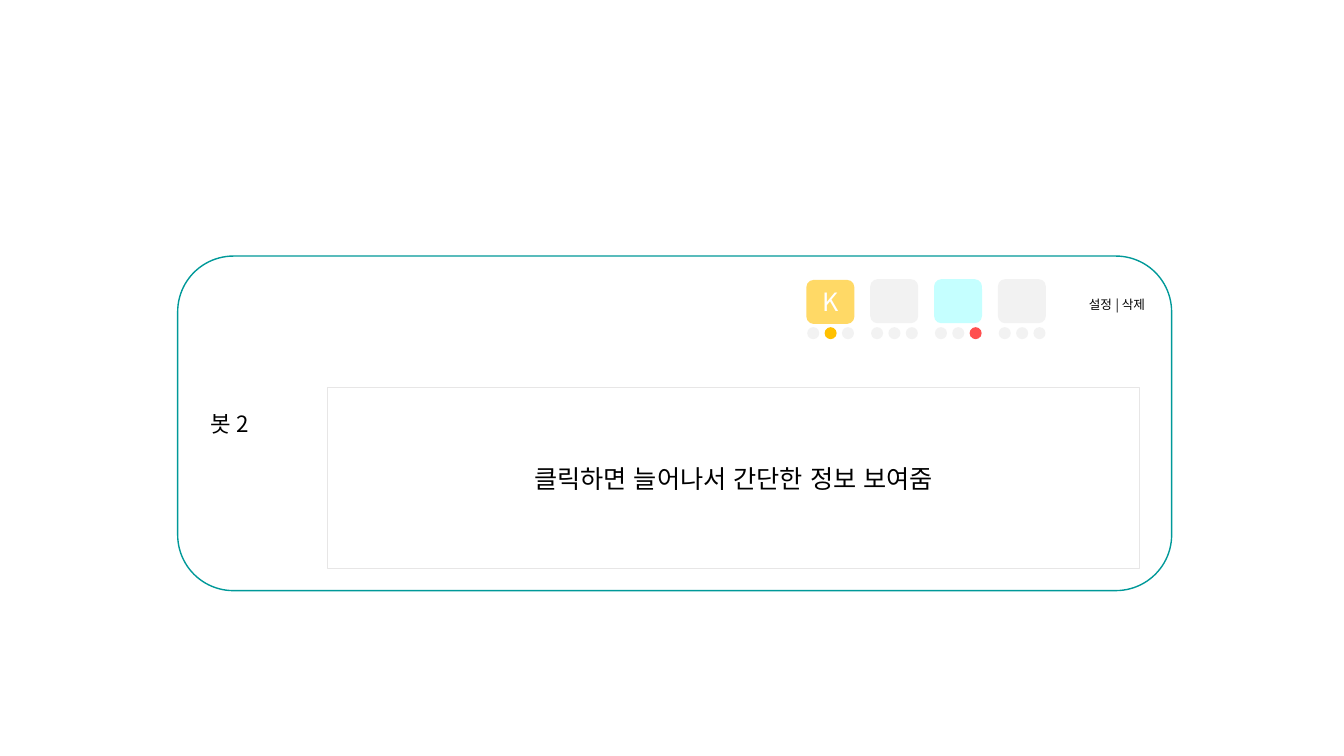
from dataclasses import dataclass
from typing import Optional

from lxml.etree import SubElement
from pptx import Presentation
from pptx.dml.color import RGBColor
from pptx.enum.lang import MSO_LANGUAGE_ID
from pptx.enum.shapes import MSO_SHAPE
from pptx.enum.text import MSO_ANCHOR, MSO_AUTO_SIZE, PP_ALIGN
from pptx.oxml.ns import qn
from pptx.shapes.autoshape import Shape
from pptx.slide import Slide
from pptx.util import Pt


@dataclass(frozen=True)
class Theme:
    font: str = "Noto Sans CJK KR"
    white: str = "FFFFFF"
    ink: str = "000000"
    teal: str = "009999"
    rule: str = "E7E6E6"
    off: str = "F2F2F2"
    gold: str = "FFD966"
    cyan: str = "C5FFFF"
    amber: str = "FFC000"
    red: str = "FF4F4F"
    small: float = 9
    name: float = 16
    body: float = 18


@dataclass(frozen=True)
class Box:
    left: float
    top: float
    width: float
    height: float


@dataclass(frozen=True)
class Badge:
    fill: str
    letter: str = ""
    lit: Optional[int] = None  # index of the coloured dot
    glow: str = ""
    drop: float = 0


THEME = Theme()
CARD = Box(126.9, 182.9, 710, 239)
PANEL = Box(234, 276.9, 580, 129)
MENU = Box(770.7, 208.4, 62.6, 18)
TILE = Box(576, 199.4, 34.3, 31.5)
DOT = Box(576.6, 233.7, 8.6, 8.6)
TILE_STEP = 45.6
DOT_STEP = 12.4
DOTS = 3

BADGES = [
    Badge(THEME.gold, "K", lit=1, glow=THEME.amber, drop=0.5),
    Badge(THEME.off),
    Badge(THEME.cyan, lit=2, glow=THEME.red),
    Badge(THEME.off),
]


def place(box: Box) -> tuple[Pt, Pt, Pt, Pt]:
    return Pt(box.left), Pt(box.top), Pt(box.width), Pt(box.height)


def shift(box: Box, right: float, down: float = 0) -> Box:
    return Box(box.left + right, box.top + down, box.width, box.height)


def draw(slide: Slide, kind: MSO_SHAPE, box: Box,
         fill: Optional[str] = None, line: Optional[str] = None) -> Shape:
    shape = slide.shapes.add_shape(kind, *place(box))
    shape.shadow.inherit = False
    if fill:
        shape.fill.solid()
        shape.fill.fore_color.rgb = RGBColor.from_string(fill)
    else:
        shape.fill.background()
    if line:
        shape.line.color.rgb = RGBColor.from_string(line)
        shape.line.width = Pt(1)
    else:
        shape.line.fill.background()
    return shape


def write(shape: Shape, text: str, *, size: float, color: str = THEME.ink,
          align: PP_ALIGN = PP_ALIGN.CENTER,
          anchor: MSO_ANCHOR = MSO_ANCHOR.MIDDLE, wrap: bool = True) -> None:
    frame = shape.text_frame
    frame.word_wrap = wrap
    frame.vertical_anchor = anchor
    para = frame.paragraphs[0]
    para.alignment = align
    run = para.add_run()
    run.text = text
    run.font.size = Pt(size)
    run.font.color.rgb = RGBColor.from_string(color)
    run.font.name = THEME.font
    run.font.language_id = MSO_LANGUAGE_ID.KOREAN
    # Korean glyphs take the East Asian font
    SubElement(run.font._element, qn("a:ea"), typeface=THEME.font)


def add_badge(slide: Slide, badge: Badge, right: float) -> None:
    tile = draw(slide, MSO_SHAPE.ROUNDED_RECTANGLE,
                shift(TILE, right, badge.drop), badge.fill)
    if badge.letter:
        write(tile, badge.letter, size=THEME.body, color=THEME.white)
    for i in range(DOTS):
        fill = badge.glow if i == badge.lit else THEME.off
        draw(slide, MSO_SHAPE.OVAL, shift(DOT, right + i * DOT_STEP), fill)


def main() -> None:
    deck = Presentation()
    deck.slide_width, deck.slide_height = Pt(960), Pt(540)
    slide = deck.slides.add_slide(deck.slide_layouts[6])

    # Bot card
    card = draw(slide, MSO_SHAPE.ROUNDED_RECTANGLE, CARD, THEME.white, THEME.teal)
    write(card, " 봇 2", size=THEME.name, align=PP_ALIGN.LEFT)

    # Channel badges with status dots
    for i, badge in enumerate(BADGES):
        add_badge(slide, badge, i * TILE_STEP)

    # Menu
    menu = slide.shapes.add_textbox(*place(MENU))
    write(menu, "설정 | 삭제", size=THEME.small, align=PP_ALIGN.LEFT,
          anchor=MSO_ANCHOR.TOP, wrap=False)
    menu.text_frame.auto_size = MSO_AUTO_SIZE.SHAPE_TO_FIT_TEXT

    # Detail panel
    panel = draw(slide, MSO_SHAPE.RECTANGLE, PANEL, line=THEME.rule)
    write(panel, "클릭하면 늘어나서 간단한 정보 보여줌", size=THEME.body)

    deck.save("out.pptx")


if __name__ == "__main__":
    main()
